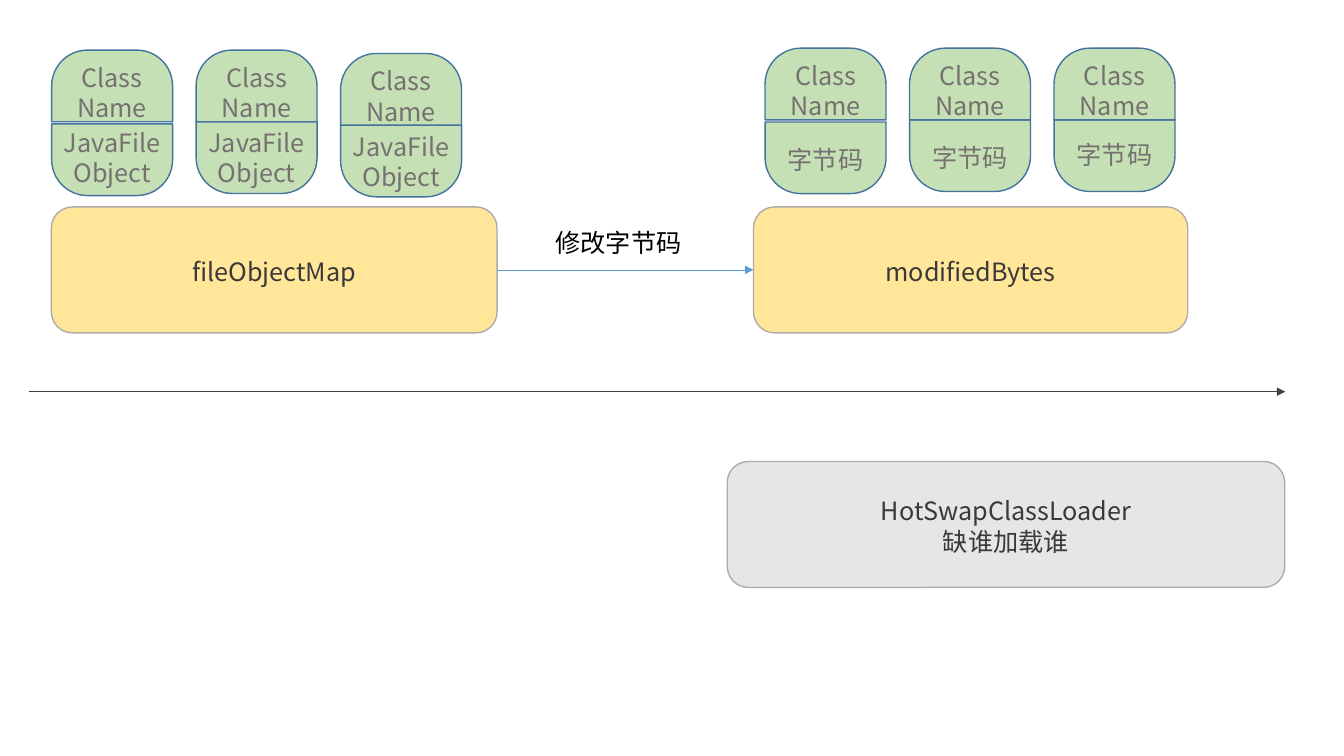
from pptx import Presentation
from pptx.dml.color import RGBColor
from pptx.enum import shapes as kinds, text as txt
from pptx.oxml.ns import qn
from pptx.util import Pt
from lxml import etree

FONT = "Noto Sans CJK SC"
HEX = {"gold": "FFE699", "grey": "E7E6E6", "edge": "AFABAB", "dark": "3B3838",
       "green": "C5E0B4", "blue": "43739E", "mid": "767171",
       "rule": "404040", "sky": "5B9BD5", "black": "000000"}

# Box: lines, left, top, width, fill
BOXES = [
    (["fileObjectMap"], 36.7, 147.8, 318.4, "gold"),
    (["modifiedBytes"], 538.2, 147.8, 310.2, "gold"),
    (["HotSwapClassLoader", "缺谁加载谁"], 519.5, 329.6, 398.2, "grey"),
]
BOX_H = 90

# Row of cards: value lines, left, then (top, gap, value centre) per card
KEY = ["Class", "Name"]
ROWS = [
    (["JavaFile", "Object"], 36.9,
     [(35.8, 1.5, 111.2), (35.8, 0, 111.2), (38.2, 0, 114.1)]),
    (["字节码"], 546.5,
     [(34.4, 1.5, 113), (34.4, 0, 111.6), (34.4, 0, 109.4)]),
]
CARD_W, CARD_H, PITCH = 86.4, 51.2, 103.2

# Arrow: start x, end x, y, colour
ARROWS = [(20.9, 918, 279.8, "rule"), (355.1, 538.2, 192.8, "sky")]
NOTE = (["修改字节码"], 387.4, 157.7, 108.7, 28.8)


def rgb(name):
    """Look up a named colour."""
    return RGBColor.from_string(HEX[name])


def write(shape, lines, color):
    """Put centred lines of text into a shape."""
    frame = shape.text_frame
    form = {"word_wrap": True, "vertical_anchor": txt.MSO_ANCHOR.MIDDLE,
            "margin_left": 0, "margin_right": 0,
            "margin_top": Pt(2), "margin_bottom": 0}
    for key, val in form.items():
        setattr(frame, key, val)
    frame.text = "\n".join(lines)
    for para in frame.paragraphs:
        para.alignment = txt.PP_ALIGN.CENTER
        para.line_spacing = Pt(21.6)
        run = para.runs[0]
        run.font.name, run.font.size = FONT, Pt(18)
        run.font.color.rgb = rgb(color)
        east = etree.SubElement(run.font._element, qn("a:ea"))
        east.set("typeface", FONT)


def block(home, kind, place, fill, edge):
    """Add a filled and outlined shape."""
    shape = home.add_shape(kind, *map(Pt, place))
    shape.shadow.inherit = False
    shape.fill.solid()
    shape.fill.fore_color.rgb = rgb(fill)
    shape.line.color.rgb = rgb(edge)
    shape.line.width = Pt(1)
    return shape


def label(home, lines, place, color):
    """Add a text box."""
    write(home.add_textbox(*map(Pt, place)), lines, color)


def card(home, lines, left, top, gap, mid):
    """Add a grouped key and value pair."""
    group = home.add_group_shape().shapes
    low = top + CARD_H + gap
    for y, turn in ((low, 180), (top, 0)):
        half = block(group, kinds.MSO_SHAPE.ROUND_2_SAME_RECTANGLE,
                     (left, y, CARD_W, CARD_H), "green", "blue")
        half.adjustments[0] = 0.5
        half.rotation = turn
    write(half, KEY, "mid")
    high = 21.6 * len(lines) + 7.2
    label(group, lines, (left, mid - high / 2, CARD_W, high), "mid")


def arrow(home, start, end, y, color):
    """Add a thin level arrow."""
    line = home.add_connector(kinds.MSO_CONNECTOR.STRAIGHT,
                              *map(Pt, (start, y, end, y)))
    line.line.color.rgb = rgb(color)
    line.line.width = Pt(0.5)
    tip = etree.SubElement(line.line._get_or_add_ln(), qn("a:tailEnd"))
    tip.set("type", "triangle")
    etree.SubElement(line._element.spPr, qn("a:effectLst"))


deck = Presentation()
deck.slide_width, deck.slide_height = Pt(960), Pt(540)
home = deck.slides.add_slide(deck.slide_layouts[6]).shapes

for lines, left, top, width, fill in BOXES:
    box = block(home, kinds.MSO_SHAPE.ROUNDED_RECTANGLE,
                (left, top, width, BOX_H), fill, "edge")
    write(box, lines, "dark")
for lines, left, cards in ROWS:
    for i, (top, gap, mid) in enumerate(cards):
        card(home, lines, left + i * PITCH, top, gap, mid)
for item in ARROWS:
    arrow(home, *item)
label(home, NOTE[0], NOTE[1:], "black")

deck.save("out.pptx")
